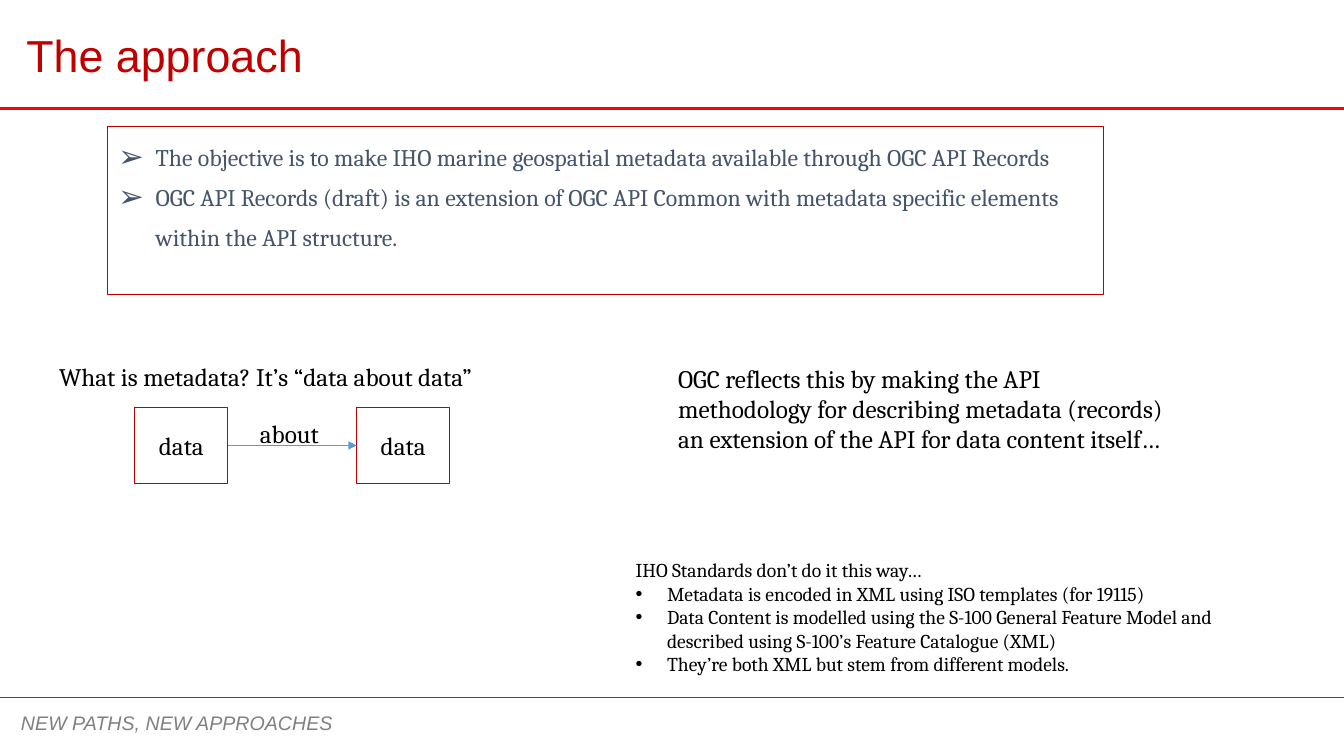
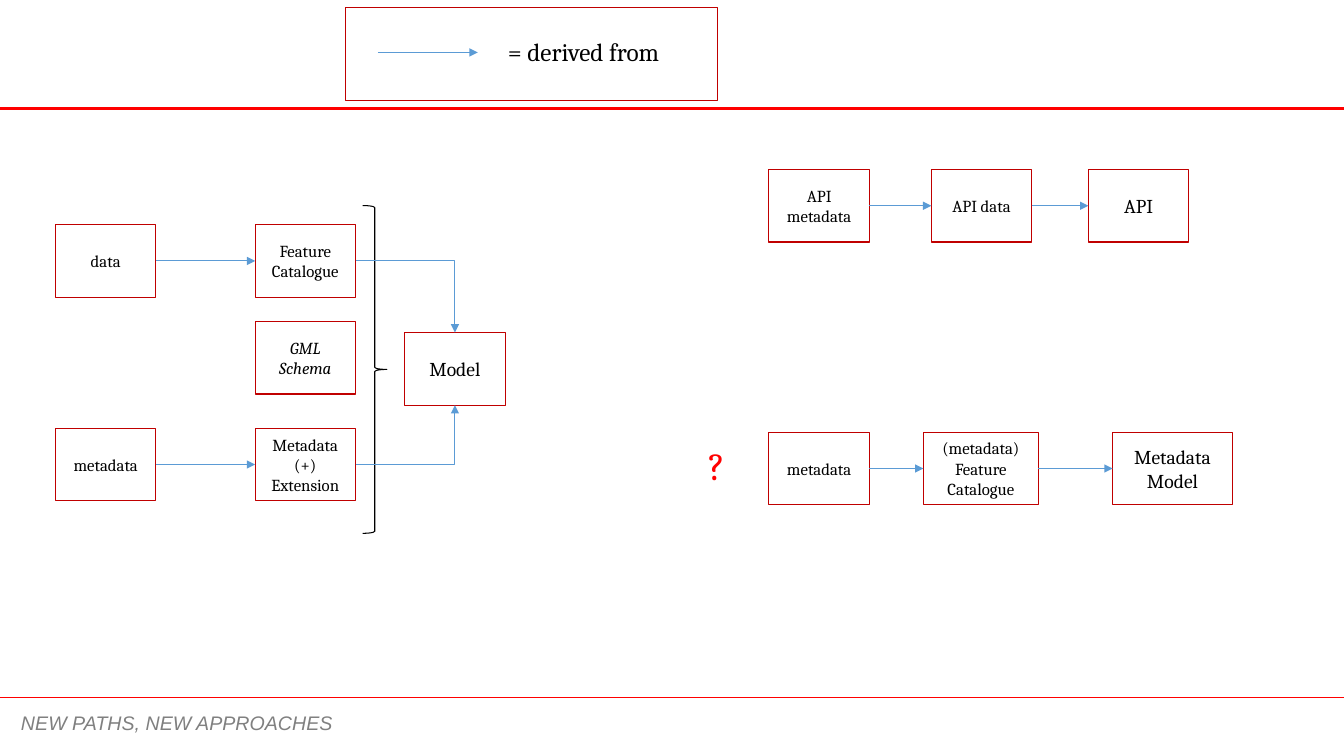
from dataclasses import dataclass, replace
from typing import NamedTuple, Optional, Sequence

from lxml.etree import SubElement
from pptx import Presentation
from pptx.dml.color import RGBColor
from pptx.enum.shapes import MSO_CONNECTOR as CONN, MSO_SHAPE as SHAPE
from pptx.enum.text import MSO_ANCHOR as ANCHOR, MSO_AUTO_SIZE as AUTO, PP_ALIGN as ALIGN
from pptx.oxml.ns import qn
from pptx.shapes.autoshape import Shape
from pptx.shapes.connector import Connector
from pptx.slide import Slide
from pptx.text.text import TextFrame
from pptx.util import Cm, Pt


# Theme
@dataclass(frozen=True)
class Theme:
    red: str = "FF0000"
    dark_red: str = "C00000"
    blue: str = "5B9BD5"
    slate: str = "44546A"
    grey: str = "808080"
    black: str = "000000"
    white: str = "FFFFFF"
    sans: str = "Arial"
    serif: str = "Cambria"
    title: int = 32
    mark: int = 28
    text: int = 18
    body: int = 17
    note: int = 14
    small: int = 12
    thin: float = 0.75
    thick: float = 2.25


T = Theme()


@dataclass(frozen=True)
class Style:
    size: int
    color: str = T.black
    font: str = T.serif
    italic: bool = False


TEXT, NOTE, SMALL = Style(T.text), Style(T.note), Style(T.small)


class Bullet(NamedTuple):
    char: str
    indent: float
    percent: int = 100


class Area(NamedTuple):
    x: float
    y: float
    w: float
    h: float

    def lengths(self) -> list[Cm]:
        return [Cm(v) for v in self]


class Box(NamedTuple):
    name: str
    area: Area
    lines: Sequence[str]
    style: Style = SMALL


class Label(NamedTuple):
    area: Area
    text: str
    style: Style = TEXT
    wrap: bool = False


RIGHT_SIDE, LEFT_SIDE, TOP_SIDE, BOTTOM_SIDE = 3, 1, 0, 2
SLIDE_W, SLIDE_H = 33.87, 19.05
FOOTER_Y = 17.58
BOX_W, BOX_H = 2.53, 1.83


# Text
def set_bullet(p, bullet: Bullet) -> None:
    pPr = p._p.get_or_add_pPr()
    pPr.set("marL", str(Cm(bullet.indent)))
    pPr.set("indent", str(-Cm(bullet.indent)))
    SubElement(pPr, qn("a:buSzPct"), val=str(bullet.percent * 1000))
    SubElement(pPr, qn("a:buFont"), typeface=T.sans)
    SubElement(pPr, qn("a:buChar"), char=bullet.char)


def add_line(tf: TextFrame, text: str, style: Style, align=ALIGN.LEFT,
             bullet: Optional[Bullet] = None, spacing: float = 1.0) -> None:
    p = tf.paragraphs[0]
    if p.runs:
        p = tf.add_paragraph()
    p.alignment, p.line_spacing, p.space_before = align, spacing, Pt(0)
    if bullet:
        set_bullet(p, bullet)
    r = p.add_run()
    r.text = text
    r.font.size, r.font.name, r.font.italic = Pt(style.size), style.font, style.italic
    r.font.color.rgb = RGBColor.from_string(style.color)


def add_label(s: Slide, label: Label) -> Shape:
    sp = s.shapes.add_textbox(*label.area.lengths())
    tf = sp.text_frame
    tf.word_wrap, tf.auto_size = label.wrap, AUTO.SHAPE_TO_FIT_TEXT
    add_line(tf, label.text, label.style)
    return sp


# Shapes and lines
def set_line(sp, color: str, width: float = T.thin) -> None:
    sp.line.color.rgb = RGBColor.from_string(color)
    sp.line.width = Pt(width)


def add_box(s: Slide, area: Area, lines: Sequence[str] = (), style: Style = SMALL) -> Shape:
    sp = s.shapes.add_shape(SHAPE.RECTANGLE, *area.lengths())
    sp.shadow.inherit = False
    sp.fill.solid()
    sp.fill.fore_color.rgb = RGBColor.from_string(T.white)
    set_line(sp, T.dark_red)
    tf = sp.text_frame
    tf.word_wrap, tf.vertical_anchor = True, ANCHOR.MIDDLE
    for line in lines:
        add_line(tf, line, style, ALIGN.CENTER)
    return sp


def add_boxes(s: Slide, boxes: Sequence[Box]) -> dict[str, Shape]:
    return {b.name: add_box(s, b.area, b.lines, b.style) for b in boxes}


def add_rule(s: Slide, x1: float, x2: float, y: float, color: str,
             width: float = T.thin, kind=CONN.STRAIGHT) -> Connector:
    c = s.shapes.add_connector(kind, Cm(x1), Cm(y), Cm(x2), Cm(y))
    set_line(c, color, width)
    SubElement(c.element.spPr, qn("a:effectLst"))
    return c


def add_arrow(s: Slide, x1: float = 0, x2: float = 0, y: float = 0,
              kind=CONN.STRAIGHT) -> Connector:
    c = add_rule(s, x1, x2, y, T.blue, kind=kind)
    SubElement(c.line._get_or_add_ln(), qn("a:tailEnd"), type="triangle")
    return c


def join(s: Slide, start: Shape, end: Shape, end_side: int = LEFT_SIDE) -> None:
    bent = end_side != LEFT_SIDE
    c = add_arrow(s, kind=CONN.ELBOW if bent else CONN.STRAIGHT)
    if bent:
        c.element.xpath(".//a:prstGeom")[0].set("prst", "bentConnector2")
    c.begin_connect(start, RIGHT_SIDE)
    c.end_connect(end, end_side)


# Master: rules and footer shared by all slides
def build_master(prs, s: Slide) -> None:
    footer = Style(T.note, T.grey, T.sans, italic=True)
    parts = [
        add_rule(s, 3.96, SLIDE_W, FOOTER_Y, T.red),
        add_rule(s, 0, SLIDE_W, 2.74, T.red, T.thick),
        add_rule(s, 0, SLIDE_W, FOOTER_Y, T.red),
        add_label(s, Label(Area(0.28, 17.78, 11.86, 0.86),
                           "NEW PATHS, NEW APPROACHES", footer, True)),
    ]
    tree = prs.slide_master.shapes.element
    for number, part in enumerate(parts, start=101):
        part.element.xpath(".//p:cNvPr")[0].set("id", str(number))
        tree.append(part.element)


def place(sp: Shape, area: Area) -> None:
    sp.left, sp.top, sp.width, sp.height = area.lengths()


def build_approach(s: Slide) -> None:
    # Title and objectives
    title, body = s.shapes.title, s.placeholders[1]
    place(title, Area(0.41, 0.58, 7.52, 1.63))
    tf = title.text_frame
    tf.word_wrap, tf.auto_size = False, AUTO.SHAPE_TO_FIT_TEXT
    tf.vertical_anchor = ANCHOR.TOP
    add_line(tf, "The approach", Style(T.title, T.dark_red, T.sans))

    place(body, Area(2.72, 3.18, 25.1, 4.24))
    set_line(body, T.dark_red)
    tf = body.text_frame
    tf.auto_size, tf.vertical_anchor = AUTO.NONE, ANCHOR.TOP
    for text in (
        "The objective is to make IHO marine geospatial metadata available through "
        "OGC API Records",
        "OGC API Records (draft) is an extension of OGC API Common with metadata "
        "specific elements within the API structure.",
    ):
        add_line(tf, text, Style(T.body, T.slate), bullet=Bullet("➢", 0.95, 130), spacing=1.4)

    # Data about data
    boxes = add_boxes(s, [Box(name, Area(x, 10.26, 2.34, 1.93), ["data"], TEXT)
                          for name, x in (("describing", 3.4), ("described", 8.99))])
    join(s, boxes["describing"], boxes["described"])
    for label in (
        Label(Area(6.3, 10.41, 2.13, 1.02), "about"),
        Label(Area(1.24, 8.97, 11.96, 1.02), "What is metadata? It’s “data about data”"),
        Label(Area(16.84, 9.02, 13.06, 3.33),
              "OGC reflects this by making the API methodology for describing metadata "
              "(records) an extension of the API for data content itself…", wrap=True),
    ):
        add_label(s, label)

    # Comparison with IHO standards
    note = add_label(s, Label(Area(15.77, 13.94, 15.72, 3.25),
                              "IHO Standards don’t do it this way…", NOTE, True))
    for text in (
        "Metadata is encoded in XML using ISO templates (for 19115)",
        "Data Content is modelled using the S-100 General Feature Model and described "
        "using S-100’s Feature Catalogue (XML)",
        "They’re both XML but stem from different models.",
    ):
        add_line(note.text_frame, text, NOTE, bullet=Bullet("•", 0.79))


def build_derivation(s: Slide) -> None:
    # Legend
    add_box(s, Area(8.71, 0.2, 9.37, 2.34))
    add_arrow(s, 9.52, 12.04, 1.32)
    add_label(s, Label(Area(12.55, 0.79, 4.75, 1.02), "= derived from"))

    # Boxes
    def cell(x: float, y: float, w: float = BOX_W) -> Area:
        return Area(x, y, w, BOX_H)

    source_x, schema_x, api_x = 1.4, 6.43, 19.38
    data_y, metadata_y, api_y, query_y = 5.66, 10.79, 4.27, 10.89
    boxes = add_boxes(s, [
        Box("model", cell(10.2, 8.38), ["Model"], NOTE),
        Box("catalogue", cell(schema_x, data_y), ["Feature Catalogue"]),
        Box("data", cell(source_x, data_y), ["data"]),
        Box("gml", cell(schema_x, 8.1), ["GML Schema"], replace(SMALL, italic=True)),
        Box("extension", cell(schema_x, metadata_y), ["Metadata", "(+)", "Extension"]),
        Box("metadata", cell(source_x, metadata_y), ["metadata"]),
        Box("api data", cell(23.47, api_y), ["API data"]),
        Box("api", cell(27.43, api_y), ["API"], NOTE),
        Box("api metadata", cell(api_x, api_y), ["API metadata"]),
        Box("metadata model", cell(28.04, query_y, 3.02), ["Metadata", "Model"], NOTE),
        Box("metadata catalogue", cell(23.27, query_y, 2.9),
            ["(metadata)", "Feature Catalogue"]),
        Box("query metadata", cell(api_x, query_y), ["metadata"]),
    ])

    # Brace around the schemas
    brace = s.shapes.add_shape(SHAPE.RIGHT_BRACE, *Area(9.14, 5.18, 0.61, 8.26).lengths())
    brace.shadow.inherit = False
    brace.fill.background()
    set_line(brace, T.black)

    # Derivation arrows
    for start, end, side in (
        ("data", "catalogue", LEFT_SIDE),
        ("metadata", "extension", LEFT_SIDE),
        ("catalogue", "model", TOP_SIDE),
        ("extension", "model", BOTTOM_SIDE),
        ("api metadata", "api data", LEFT_SIDE),
        ("api data", "api", LEFT_SIDE),
        ("query metadata", "metadata catalogue", LEFT_SIDE),
        ("metadata catalogue", "metadata model", LEFT_SIDE),
    ):
        join(s, boxes[start], boxes[end], side)
    add_label(s, Label(Area(17.6, 11, 0.92, 1.45), "?", Style(T.mark, T.red)))


def main() -> None:
    prs = Presentation()
    prs.slide_width, prs.slide_height = Cm(SLIDE_W), Cm(SLIDE_H)
    approach = prs.slides.add_slide(prs.slide_layouts[1])
    build_master(prs, approach)
    build_approach(approach)
    build_derivation(prs.slides.add_slide(prs.slide_layouts[6]))
    prs.save("out.pptx")


if __name__ == "__main__":
    main()
